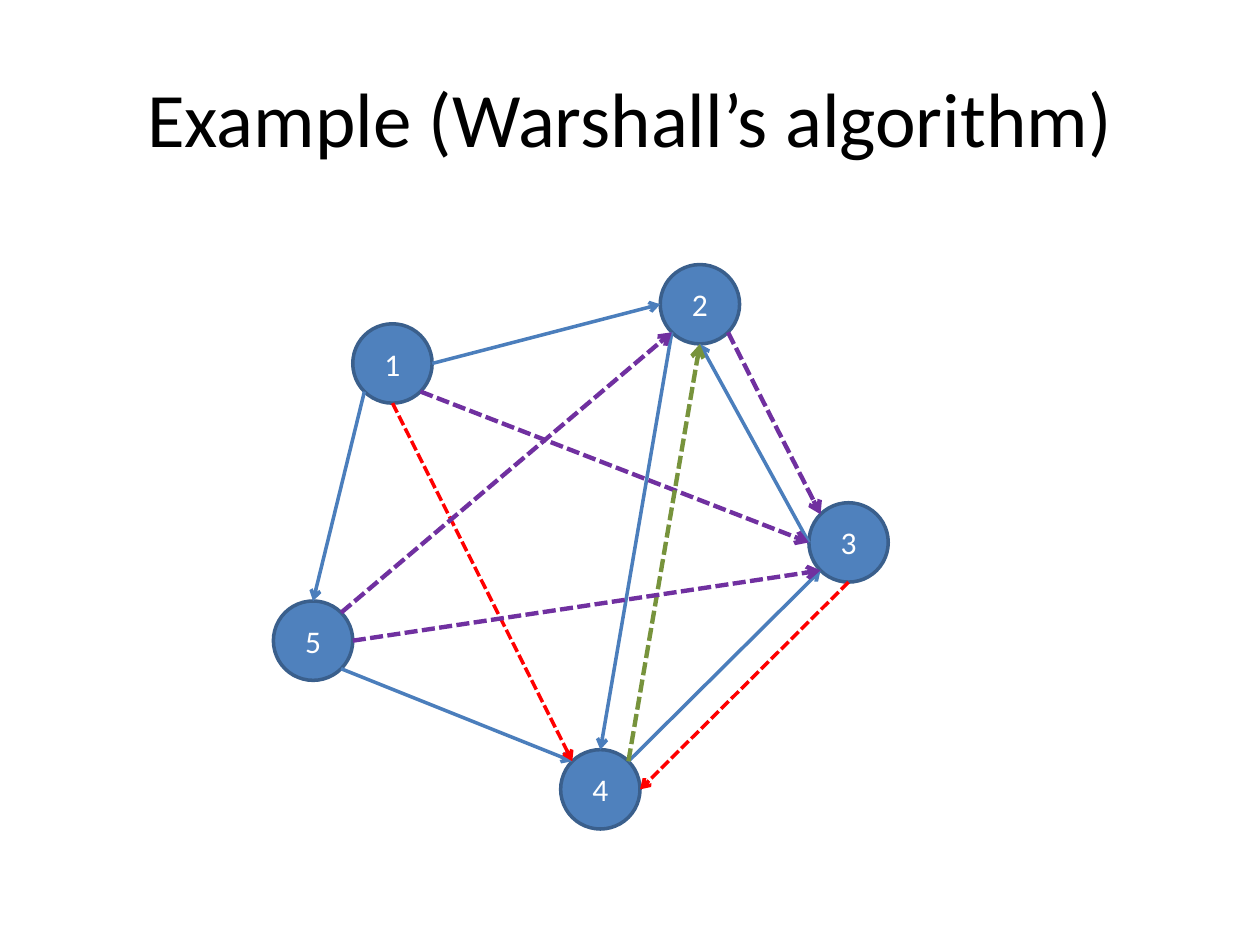
import math

import lxml.etree
import pptx
import pptx.dml.color
import pptx.enum.dml
import pptx.enum.shapes
import pptx.enum.text
import pptx.oxml.ns
import pptx.util

Inches, Pt = pptx.util.Inches, pptx.util.Pt
RGBColor = pptx.dml.color.RGBColor
qn = pptx.oxml.ns.qn

BLACK = RGBColor(0x00, 0x00, 0x00)
WHITE = RGBColor(0xFF, 0xFF, 0xFF)
NODE_FILL = RGBColor(0x4F, 0x81, 0xBD)
NODE_LINE = RGBColor(0x3A, 0x5F, 0x8C)
BLUE = RGBColor(0x4B, 0x7E, 0xBC)
RED = RGBColor(0xFF, 0x00, 0x00)
PURPLE = RGBColor(0x70, 0x30, 0xA0)
GREEN = RGBColor(0x77, 0x93, 0x3C)

TITLE = "Example (Warshall’s algorithm)"
DIAMETER = 0.63
# Node label: left, top in inches
NODES = {
    "1": (2.8, 2.57),
    "2": (5.24, 2.1),
    "3": (6.42, 3.99),
    "4": (4.45, 5.95),
    "5": (2.17, 4.77),
}
# Connection sites of an ellipse, counter-clockwise from the top
SITES = ["top", "top left", "left", "bottom left",
         "bottom", "bottom right", "right", "top right"]
# Edge style: colour, width in points, dashed
STYLES = {
    "given": (BLUE, 2, False),
    "red": (RED, 2, True),
    "purple": (PURPLE, 2.5, True),
    "green": (GREEN, 2.5, True),
}
# From node, its site, to node, its site, style
EDGES = [
    ("1", "right", "2", "left", "given"),
    ("1", "bottom left", "5", "top", "given"),
    ("2", "bottom left", "4", "top", "given"),
    ("3", "left", "2", "bottom", "given"),
    ("4", "top right", "3", "bottom left", "given"),
    ("5", "bottom right", "4", "top left", "given"),
    ("1", "bottom", "4", "top left", "red"),
    ("1", "bottom right", "3", "left", "purple"),
    ("4", "top right", "2", "bottom", "green"),
    ("3", "bottom", "4", "right", "red"),
    ("5", "right", "3", "bottom left", "purple"),
    ("2", "bottom right", "3", "top left", "purple"),
    ("5", "top right", "2", "bottom left", "purple"),
]


def write(shape, text, *, size, color):
    frame = shape.text_frame
    frame.word_wrap = True
    frame.vertical_anchor = pptx.enum.text.MSO_ANCHOR.MIDDLE
    paragraph = frame.paragraphs[0]
    paragraph.alignment = pptx.enum.text.PP_ALIGN.CENTER
    run = paragraph.add_run()
    run.text = text
    run.font.name = "Calibri"
    run.font.size = Pt(size)
    run.font.color.rgb = color


def add_node(slide, label, left, top):
    node = slide.shapes.add_shape(
        pptx.enum.shapes.MSO_SHAPE.OVAL,
        Inches(left), Inches(top), Inches(DIAMETER), Inches(DIAMETER))
    node.shadow.inherit = False
    node.fill.solid()
    node.fill.fore_color.rgb = NODE_FILL
    node.line.color.rgb = NODE_LINE
    node.line.width = Pt(2)
    write(node, label, size=18, color=WHITE)
    return node


def site_point(label, site):
    """Return the place of a connection site on a node's rim."""
    left, top = NODES[label]
    radius = DIAMETER / 2
    angle = math.radians(45 * SITES.index(site))
    return (Inches(left + radius - radius * math.sin(angle)),
            Inches(top + radius - radius * math.cos(angle)))


def add_edge(slide, circles, start, start_site, end, end_site, style):
    color, width, dashed = STYLES[style]
    edge = slide.shapes.add_connector(
        pptx.enum.shapes.MSO_CONNECTOR.STRAIGHT,
        *site_point(start, start_site), *site_point(end, end_site))
    edge.line.color.rgb = color
    edge.line.width = Pt(width)
    if dashed:
        edge.line.dash_style = pptx.enum.dml.MSO_LINE.SQUARE_DOT

    # Glue both ends to the diagonal and straight sites of the circles
    glue = edge._element.find(".//" + qn("p:cNvCxnSpPr"))
    for tag, label, site in (("a:stCxn", start, start_site),
                             ("a:endCxn", end, end_site)):
        lxml.etree.SubElement(glue, qn(tag), id=str(circles[label].shape_id),
                              idx=str(SITES.index(site)))
    properties = edge._element.spPr
    lxml.etree.SubElement(properties.find(qn("a:ln")), qn("a:tailEnd"), type="arrow")
    lxml.etree.SubElement(properties, qn("a:effectLst"))


def main():
    deck = pptx.Presentation()
    deck.slide_width, deck.slide_height = Inches(10), Inches(7.5)
    slide = deck.slides.add_slide(deck.slide_layouts.get_by_name("Title Only"))

    title = slide.shapes.title
    title.left, title.top = Inches(0.5), Inches(0.3)
    title.width, title.height = Inches(9), Inches(1.25)
    write(title, TITLE, size=44, color=BLACK)

    circles = {label: add_node(slide, label, *place)
               for label, place in NODES.items()}
    for edge in EDGES:
        add_edge(slide, circles, *edge)

    deck.save("out.pptx")


if __name__ == "__main__":
    main()
